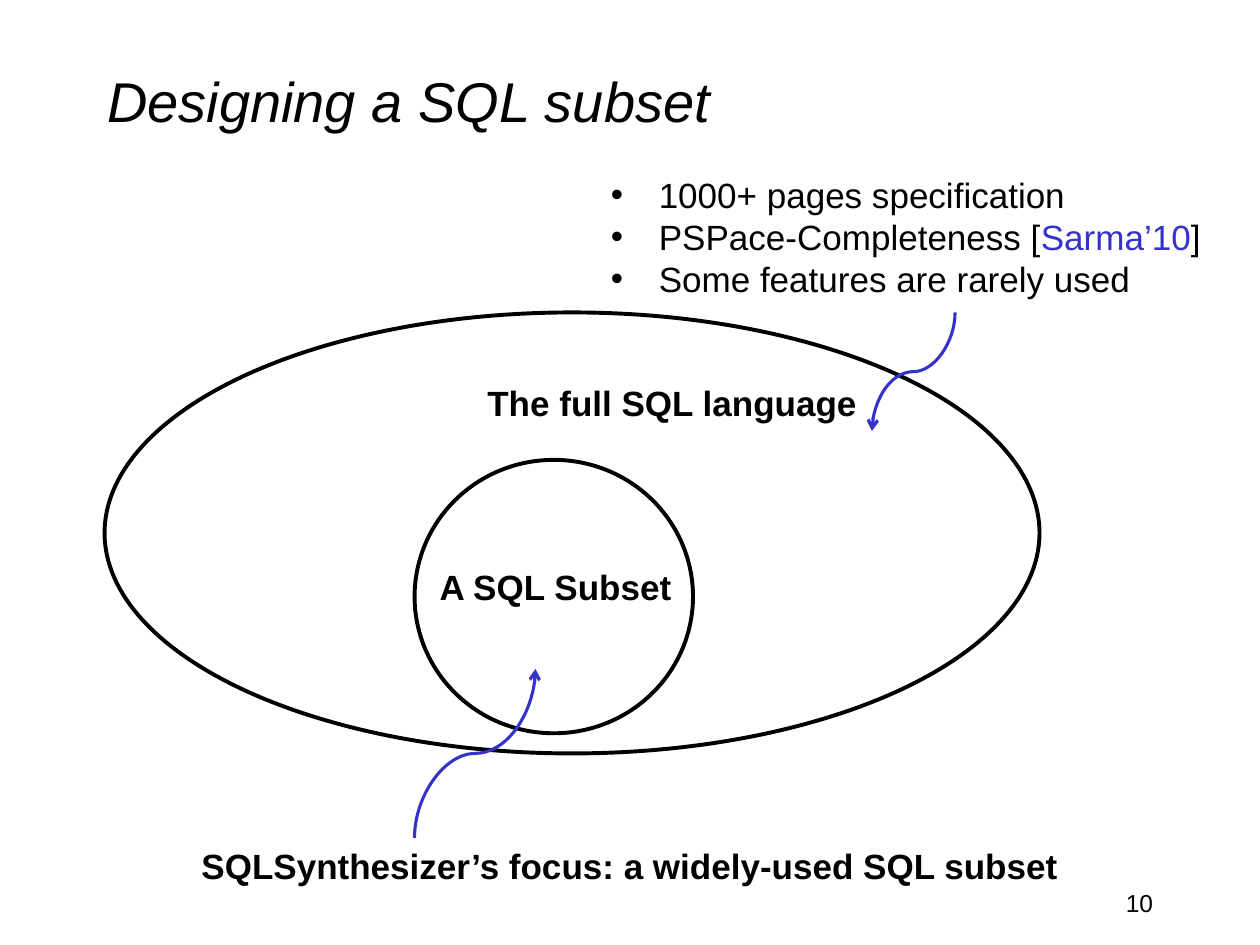
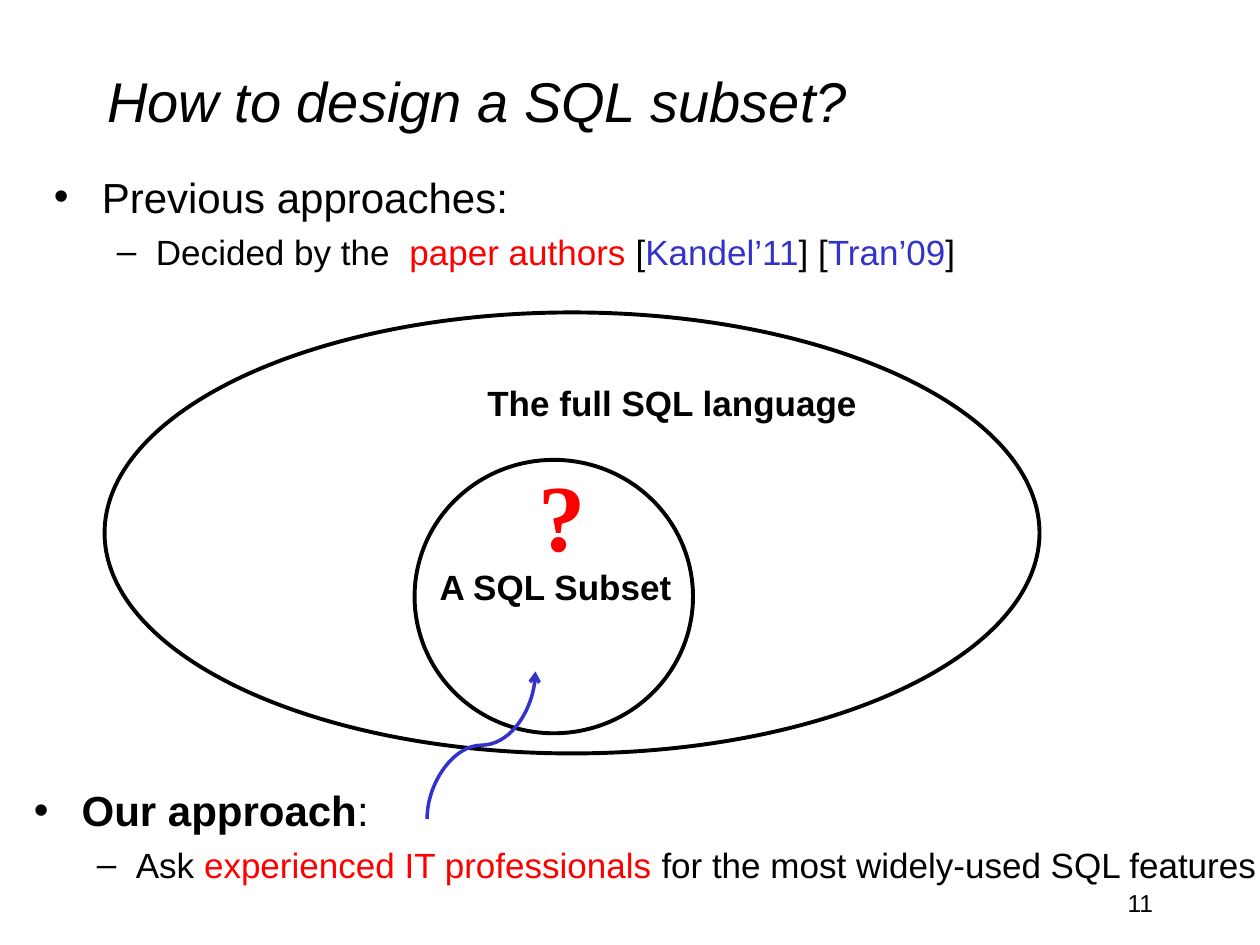
"""Build two slides on choosing a subset of SQL."""
from lxml import etree
from pptx import Presentation
from pptx.dml.color import RGBColor
from pptx.enum.shapes import MSO_CONNECTOR, MSO_SHAPE
from pptx.enum.text import MSO_ANCHOR, MSO_AUTO_SIZE, PP_ALIGN
from pptx.oxml.ns import qn
from pptx.util import Inches, Pt

CURVE, OVAL = MSO_CONNECTOR.CURVE, MSO_SHAPE.OVAL
LEFT, CENTER, RIGHT = PP_ALIGN.LEFT, PP_ALIGN.CENTER, PP_ALIGN.RIGHT
MIDDLE, NO_FIT = MSO_ANCHOR.MIDDLE, MSO_AUTO_SIZE.NONE

COLORS = {"ink": "000000", "accent": "3333CC", "alert": "FF0000"}
FONT, MARK_FONT = "Arial", "Times New Roman"
TITLE_BOX = (0.75, 0.17, 8.5, 1.25)
NUMBER_BOX = (7.17, 7, 2.08, 0.5)
BULLETS = {1: ("•", 0.38, -0.38), 2: ("–", 0.81, -0.31)}
LEVEL_SIZES = {1: 24, 2: 20}

SETS = [(0.83, 2.48, 7.42, 3.5), (3.29, 3.65, 2.21, 2.17)]
SET_LABELS = [
    ("The full SQL language", (3.77, 2.98, 3.16, 0.44)),
    ("A SQL Subset", (3.39, 4.44, 2.06, 0.44)),
]

REASONS = [
    [("1000+ pages specification", "ink")],
    [("PSPace-Completeness [", "ink"), ("Sarma’10", "accent"), ("]", "ink")],
    [("Some features are rarely used", "ink")],
]
FOCUS = "SQLSynthesizer’s focus: a widely-used SQL subset"
PREVIOUS = [
    (1, [("Previous approaches:", "ink")]),
    (2, [("Decided by the  ", "ink"), ("paper authors ", "alert"), ("[", "ink"),
         ("Kandel’11", "accent"), ("] [", "ink"), ("Tran’09", "accent"), ("]", "ink")]),
]
OURS = [
    (1, [("Our approach", "ink", True), (":", "ink")]),
    (2, [("Ask ", "ink"), ("experienced IT professionals ", "alert"),
         ("for the most widely-used SQL features", "ink")]),
]


def rgb(name):
    return RGBColor.from_string(COLORS[name])


def inches(values):
    return [Inches(v) for v in values]


def style(r, size, color="ink", bold=False, italic=False, font=FONT):
    r.font.name, r.font.size = font, Pt(size)
    r.font.bold, r.font.italic = bold, italic
    r.font.color.rgb = rgb(color)


def add_box(slide, box, wrap=False):
    tf = slide.shapes.add_textbox(*inches(box)).text_frame
    tf.word_wrap = wrap
    return tf


def add_label(slide, text, box, size=20, align=LEFT, wrap=False, **look):
    p = add_box(slide, box, wrap).paragraphs[0]
    p.text, p.alignment = text, align
    style(p.runs[0], size, **look)


def add_bullets(slide, box, items, sizes, gap=0, wrap=False):
    tf = add_box(slide, box, wrap)
    tf.margin_right = 0
    for i, (level, pieces) in enumerate(items):
        p = tf.add_paragraph() if i else tf.paragraphs[0]
        p.space_before = Pt(gap if i else 0)
        char, margin, indent = BULLETS[level]
        pPr = p._p.get_or_add_pPr()
        pPr.set("marL", str(Inches(margin)))
        pPr.set("indent", str(Inches(indent)))
        etree.SubElement(pPr, qn("a:buFont"), typeface=FONT)
        etree.SubElement(pPr, qn("a:buChar"), char=char)
        for text, *look in pieces:
            r = p.add_run()
            r.text = text
            style(r, sizes[level], *look)


def add_curve(slide, start, end, width):
    """Draw an S-curve that leaves and arrives vertically."""
    (x1, y1), (x2, y2) = start, end
    cx, cy = (x1 + x2) / 2, (y1 + y2) / 2
    dx, dy = (x2 - x1) / 2, (y2 - y1) / 2
    ends = inches((cx - dy, cy + dx, cx + dy, cy - dx))
    c = slide.shapes.add_connector(CURVE, *ends)
    c.line.color.rgb, c.line.width = rgb("accent"), Pt(width)
    spPr = c._element.spPr
    spPr.find(qn("a:xfrm")).set("rot", str(90 * 60000))
    etree.SubElement(c.line._get_or_add_ln(), qn("a:tailEnd"), type="arrow")
    etree.SubElement(spPr, qn("a:effectLst"))


def add_slide(prs, title, number):
    slide = prs.slides.add_slide(prs.slide_layouts[5])
    sp = slide.shapes.title
    sp.left, sp.top, sp.width, sp.height = inches(TITLE_BOX)
    tf = sp.text_frame
    tf.text, tf.vertical_anchor, tf.auto_size = title, MIDDLE, NO_FIT
    p = tf.paragraphs[0]
    p.alignment = LEFT
    style(p.runs[0], 32, italic=True)
    add_label(slide, str(number), NUMBER_BOX, 14, RIGHT, wrap=True)
    for box in SETS:
        oval = slide.shapes.add_shape(OVAL, *inches(box))
        oval.shadow.inherit = False
        oval.fill.background()
        oval.line.color.rgb, oval.line.width = rgb("ink"), Pt(2.25)
    for text, box in SET_LABELS:
        add_label(slide, text, box, bold=True)
    return slide


def main():
    prs = Presentation()
    prs.slide_width, prs.slide_height = Inches(10), Inches(7.5)

    slide = add_slide(prs, "Designing a SQL subset", 10)
    add_bullets(slide, (4.75, 1.33, 4.91, 1.11), [(1, r) for r in REASONS], {1: 20})
    add_label(slide, FOCUS, (1.5, 6.65, 7.42, 0.44), wrap=True, bold=True)
    add_curve(slide, (3.29, 6.65), (4.25, 5.31), 1.75)
    add_curve(slide, (7.58, 2.48), (6.92, 3.42), 1.75)

    slide = add_slide(prs, "How to design a SQL subset?", 11)
    add_bullets(slide, (0.33, 1.31, 9.67, 1), PREVIOUS, LEVEL_SIZES, 5, True)
    add_bullets(slide, (0.17, 6.18, 9.83, 1), OURS, LEVEL_SIZES, 5, True)
    add_curve(slide, (3.39, 6.5), (4.25, 5.33), 2)
    add_label(slide, "?", (4.17, 3.58, 0.58, 1.01), 54, CENTER,
              color="alert", bold=True, font=MARK_FONT)

    prs.save("out.pptx")


if __name__ == "__main__":
    main()
